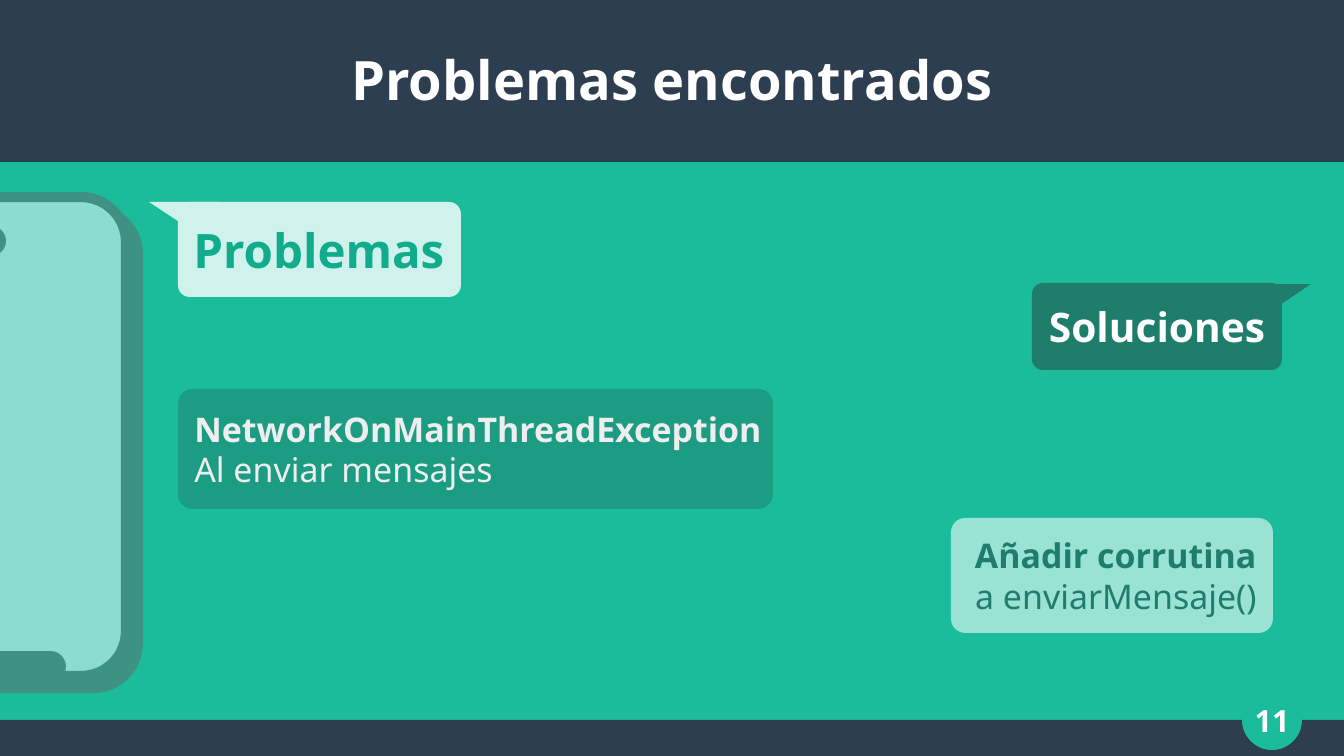
import pptx
import pptx.dml.color
import pptx.enum.shapes
import pptx.enum.text
import pptx.util
from lxml import etree
from pptx.oxml.ns import qn

RGBColor = pptx.dml.color.RGBColor
Kind = pptx.enum.shapes.MSO_SHAPE
Align = pptx.enum.text.PP_ALIGN
Anchor = pptx.enum.text.MSO_ANCHOR

NAVY = RGBColor(0x2C, 0x3E, 0x50)
TEAL = RGBColor(0x1A, 0xBC, 0x9C)
DEEP_TEAL = RGBColor(0x1F, 0x7E, 0x6B)
HEADING_TEAL = RGBColor(0x10, 0xAC, 0x8D)
MINT = RGBColor(0xCF, 0xF3, 0xEC)
WHITE = RGBColor(0xFF, 0xFF, 0xFF)
PALE_GRAY = RGBColor(0xEE, 0xEE, 0xEE)
GRAY = RGBColor(0x66, 0x66, 0x66)

PX = 914400 / 122
WIDTH, HEIGHT = 1344, 756


def emu(px):
    return pptx.util.Emu(round(px * PX))


class SlideBuilder:
    font = "Noto Sans"
    corner = 0.124
    bubble_inset = (12, 6)

    def __init__(self, slide):
        self.slide = slide
        fill = slide.background.fill
        fill.solid()
        fill.fore_color.rgb = TEAL

    def paint(self, shape, color, opacity=100, line=None, line_width=0):
        shape.shadow.inherit = False
        shape.fill.solid()
        shape.fill.fore_color.rgb = color
        if opacity < 100:
            solid = shape.element.spPr.find(qn("a:solidFill"))
            etree.SubElement(solid[0], qn("a:alpha"), val=str(opacity * 1000))
        if line is None:
            shape.line.fill.background()
        else:
            shape.line.color.rgb = line
            shape.line.width = pptx.util.Pt(line_width)

    def shape(self, kind, bounds, color, corner=None, **style):
        shape = self.slide.shapes.add_shape(kind, *map(emu, bounds))
        if corner is not None:
            shape.adjustments[0] = corner
        self.paint(shape, color, **style)
        return shape

    def set_text(self, shape, lines, size, color, align, inset=(0, 0), wrap=True):
        frame = shape.text_frame
        frame.auto_size = pptx.enum.text.MSO_AUTO_SIZE.NONE
        frame.word_wrap = wrap
        frame.vertical_anchor = Anchor.MIDDLE
        frame.margin_left = frame.margin_right = emu(inset[0])
        frame.margin_top = frame.margin_bottom = emu(inset[1])
        for index, line in enumerate(lines):
            para = frame.add_paragraph() if index else frame.paragraphs[0]
            para.alignment = align
            span = para.add_run()
            span.text = line
            span.font.name = self.font
            span.font.size = pptx.util.Pt(size)
            span.font.bold = index == 0
            span.font.color.rgb = color

    def title(self, text, bounds):
        title = self.slide.shapes.title
        title.left, title.top, title.width, title.height = map(emu, bounds)
        title.element.getparent().append(title.element)
        self.set_text(title, [text], 32, WHITE, Align.CENTER)

    def bubble(self, bounds, lines, size, fill, color, align, opacity=100):
        box = self.shape(Kind.ROUNDED_RECTANGLE, bounds, fill, self.corner, opacity=opacity)
        self.set_text(box, lines, size, color, align, self.bubble_inset, wrap=False)

    def tail(self, tip_x, base_x, top, height, color):
        outline = self.slide.shapes.build_freeform(emu(tip_x), emu(top))
        outline.add_line_segments([(emu(base_x), emu(top)), (emu(base_x), emu(top + height))])
        self.paint(outline.convert_to_shape(), color)

    def phone(self, left, top, width, height, radius, shadow_offset):
        for offset, color in ((shadow_offset, GRAY), (0, WHITE)):
            self.shape(Kind.ROUNDED_RECTANGLE, (left + offset, top + offset, width, height),
                       color, radius / width, line=GRAY, line_width=6)
        self.shape(Kind.ROUNDED_RECTANGLE, (-84, 651, 150, 31), GRAY, 0.5)
        self.shape(Kind.OVAL, (-24, 226, 30, 30), GRAY)

    def label(self, text, bounds):
        box = self.slide.shapes.add_textbox(*map(emu, bounds))
        self.set_text(box, [text], 18, WHITE, Align.CENTER)


def main():
    deck = pptx.Presentation()
    deck.slide_width, deck.slide_height = emu(WIDTH), emu(HEIGHT)
    page = SlideBuilder(deck.slides.add_slide(deck.slide_layouts[5]))

    page.shape(Kind.RECTANGLE, (0, 720, WIDTH, 36), NAVY)
    page.shape(Kind.RECTANGLE, (0, 0, WIDTH, 162), NAVY)
    page.shape(Kind.OVAL, (1242, 690, 60, 60), TEAL)
    page.title("Problemas encontrados", (48, 31, 1248, 96))

    page.tail(149, 219, 202, 46, MINT)
    page.bubble((178, 202, 283, 95), ["Problemas"], 28, MINT, HEADING_TEAL, Align.LEFT)
    page.phone(-144, 197, 270, 479, radius=45, shadow_offset=12)
    page.tail(1311, 1240, 284, 48, DEEP_TEAL)
    page.bubble((1032, 283, 250, 87), ["Soluciones"], 24, DEEP_TEAL, WHITE, Align.CENTER)
    page.bubble((178, 389, 595, 120), ["NetworkOnMainThreadException", "Al enviar mensajes"],
                20, DEEP_TEAL, PALE_GRAY, Align.LEFT, opacity=50)
    page.bubble((951, 518, 322, 115), ["Añadir corrutina", "a enviarMensaje()"],
                20, MINT, DEEP_TEAL, Align.RIGHT, opacity=70)
    page.shape(Kind.RECTANGLE, (-48, 168, 192, 528), TEAL, opacity=50, line=TEAL, line_width=0.85)
    page.label("11", (1224, 690, 96, 60))

    deck.save("out.pptx")


if __name__ == "__main__":
    main()
